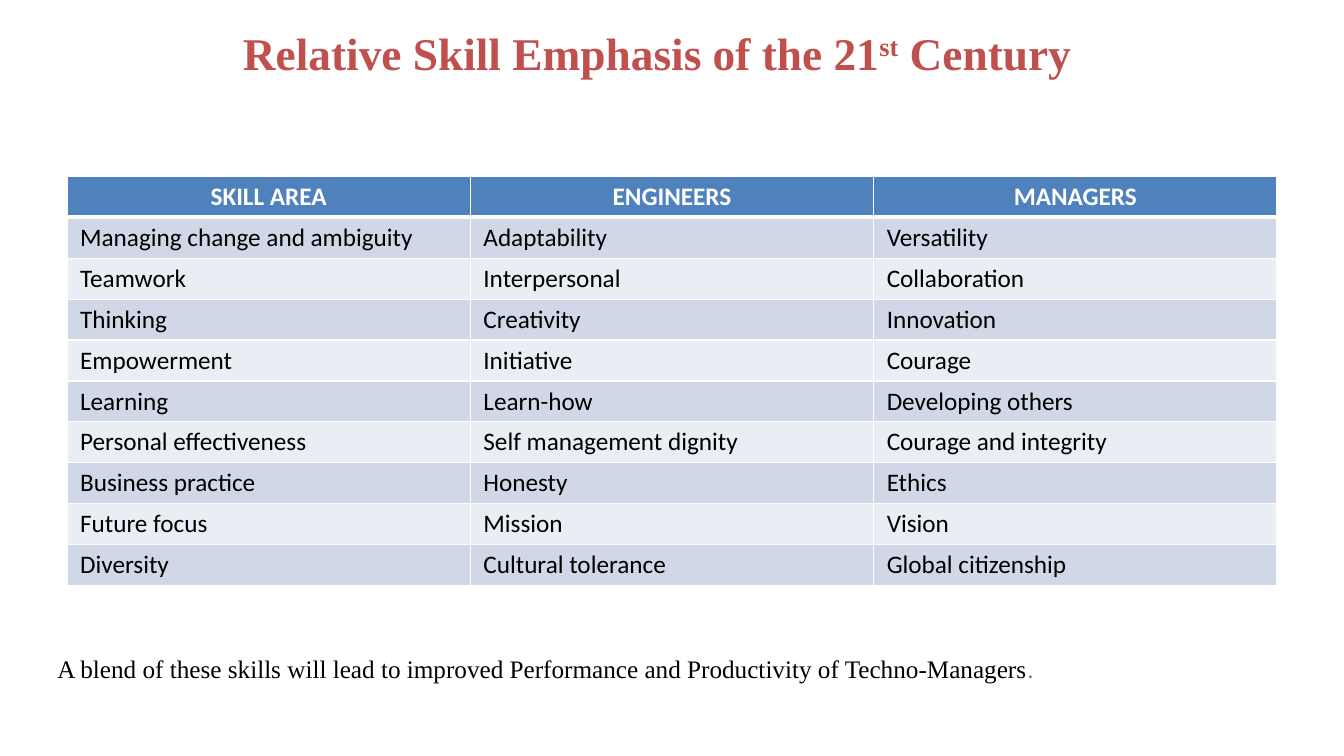
from lxml.etree import SubElement
from pptx import Presentation
from pptx.dml.color import RGBColor
from pptx.enum.text import MSO_ANCHOR, MSO_AUTO_SIZE, PP_ALIGN
from pptx.oxml.ns import qn
from pptx.util import Inches, Pt

# Content
TITLE = [("Relative Skill Emphasis of the 21", False), ("st", True), (" Century", False)]
SKILLS = [
    ("SKILL AREA", "ENGINEERS", "MANAGERS"),
    ("Managing change and ambiguity", "Adaptability", "Versatility"),
    ("Teamwork", "Interpersonal", "Collaboration"),
    ("Thinking", "Creativity", "Innovation"),
    ("Empowerment", "Initiative", "Courage"),
    ("Learning", "Learn-how", "Developing others"),
    ("Personal effectiveness", "Self management dignity", "Courage and integrity"),
    ("Business practice", "Honesty", "Ethics"),
    ("Future focus", "Mission", "Vision"),
    ("Diversity", "Cultural tolerance", "Global citizenship"),
]
CLOSING = [
    ("A blend of these skills will lead to improved Performance and "
     "Productivity of Techno-Managers", "black"),
    (".", "green"),
]
COLORS = {
    "title": "C0504D", "header": "4F81BD", "odd": "D0D8E8", "even": "E9EDF4",
    "white": "FFFFFF", "black": "000000", "green": "77933C",
}
SERIF, SANS = "Times New Roman", "Calibri"

# Grid
WIDTH, HEIGHT = 13.33, 7.5
COL_W, TABLE_H = 4, 4.06
TABLE_LEFT, TABLE_TOP = (WIDTH - 3 * COL_W) / 2, 1.75


def rgb(name):
    return RGBColor.from_string(COLORS[name])


def add_run(p, text, font, size, color, bold=False):
    r = p.add_run()
    r.text = text
    r.font.name, r.font.size, r.font.bold = font, Pt(size), bold
    r.font.color.rgb = rgb(color)
    return r


def add_border(cell, side, points):
    ln = SubElement(cell._tc.get_or_add_tcPr(), qn(f"a:ln{side}"), w=str(Pt(points)))
    fill = SubElement(ln, qn("a:solidFill"))
    SubElement(fill, qn("a:srgbClr"), val=COLORS["white"])


prs = Presentation()
prs.slide_width, prs.slide_height = Inches(WIDTH), Inches(HEIGHT)
s = prs.slides.add_slide(prs.slide_layouts[5])

# Title
sp = s.shapes.title
sp.left, sp.top, sp.width, sp.height = map(Inches, (2.41, 0.25, 8.51, 1.17))
tf = sp.text_frame
tf.margin_left = tf.margin_right = tf.margin_top = tf.margin_bottom = 0
tf.vertical_anchor, tf.auto_size = MSO_ANCHOR.TOP, MSO_AUTO_SIZE.NONE
p = tf.paragraphs[0]
p.alignment = PP_ALIGN.LEFT
for text, raised in TITLE:
    r = add_run(p, text, SERIF, 32.4, "title", True)
    if raised:
        r.font._element.set("baseline", "30000")

# Skills table
table = s.shapes.add_table(
    len(SKILLS), len(SKILLS[0]), Inches(TABLE_LEFT), Inches(TABLE_TOP),
    Inches(3 * COL_W), Inches(TABLE_H)).table
for row in table.rows:
    row.height = Inches(TABLE_H / len(SKILLS))
for i, skills in enumerate(SKILLS):
    header = i == 0
    band = "header" if header else "odd" if i % 2 else "even"
    for j, text in enumerate(skills):
        cell = table.cell(i, j)
        cell.margin_left = cell.margin_right = Inches(0.13)
        cell.margin_top = cell.margin_bottom = Inches(0.05)
        for side in "LRTB":
            thick = (i, side) in ((0, "B"), (1, "T"))
            add_border(cell, side, 3 if thick else 1)
        cell.fill.solid()
        cell.fill.fore_color.rgb = rgb(band)
        p = cell.text_frame.paragraphs[0]
        p.alignment = PP_ALIGN.CENTER if header else PP_ALIGN.LEFT
        add_run(p, text, SANS, 18, "white" if header else "black", header)

# Closing line
tf = s.shapes.add_textbox(*map(Inches, (0.47, 6.43, 12.07, 0.4))).text_frame
tf.word_wrap, tf.auto_size = True, MSO_AUTO_SIZE.SHAPE_TO_FIT_TEXT
for text, color in CLOSING:
    add_run(tf.paragraphs[0], text, SERIF, 18, color)

prs.save("out.pptx")
